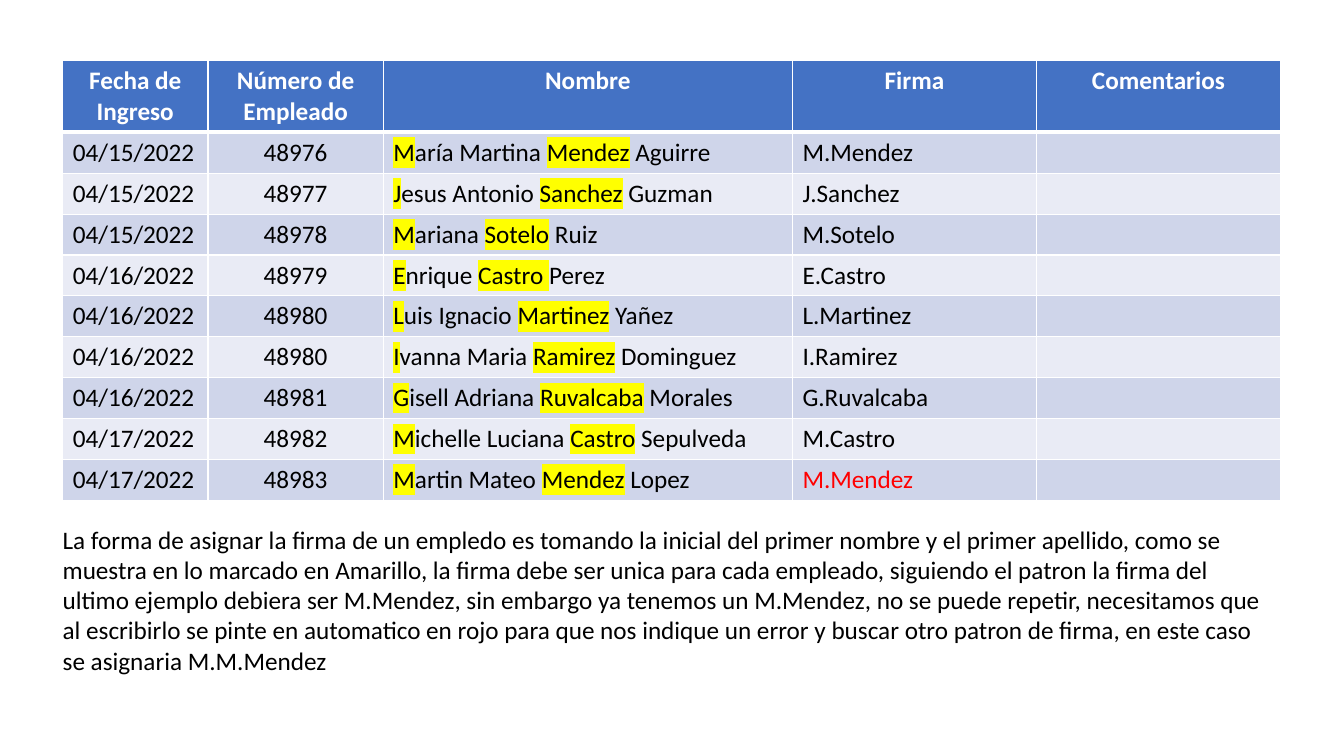
from pptx import Presentation
from pptx.dml.color import RGBColor
from pptx.enum.text import MSO_AUTO_SIZE as AutoSize, PP_ALIGN as Align
from pptx.oxml.ns import qn
from pptx.util import Cm, Pt
from lxml.etree import SubElement

HEADINGS = ["Fecha de Ingreso", "Número de Empleado", "Nombre", "Firma", "Comentarios"]
COLUMN_WIDTHS = [3.66, 4.42, 10.31, 6.15, 6.15]
HEADER_HEIGHT, ROW_HEIGHT = 1.78, 1.03
EMPLOYEES = [
    ("04/15/2022", "48976", "|M|aría Martina |Mendez| Aguirre", "M.Mendez"),
    ("04/15/2022", "48977", "|J|esus Antonio |Sanchez| Guzman", "J.Sanchez"),
    ("04/15/2022", "48978", "|M|ariana |Sotelo| Ruiz", "M.Sotelo"),
    ("04/16/2022", "48979", "|E|nrique |Castro |Perez", "E.Castro"),
    ("04/16/2022", "48980", "|L|uis Ignacio |Martinez| Yañez", "L.Martinez"),
    ("04/16/2022", "48980", "|I|vanna Maria |Ramirez| Dominguez", "I.Ramirez"),
    ("04/16/2022", "48981", "|G|isell Adriana |Ruvalcaba| Morales", "G.Ruvalcaba"),
    ("04/17/2022", "48982", "|M|ichelle Luciana |Castro| Sepulveda", "M.Castro"),
    ("04/17/2022", "48983", "|M|artin Mateo |Mendez| Lopez", "M.Mendez"),
]
EXPLANATION = (
    "La forma de asignar la firma de un empledo es tomando la inicial del primer nombre "
    "y el primer apellido, como se muestra en lo marcado en Amarillo, la firma debe ser "
    "unica para cada empleado, siguiendo el patron la firma del ultimo ejemplo debiera ser "
    "M.Mendez, sin embargo ya tenemos un M.Mendez, no se puede repetir, necesitamos que al "
    "escribirlo se pinte en automatico en rojo para que nos indique un error y buscar otro "
    "patron de firma, en este caso se asignaria M.M.Mendez"
)


def color(value):
    return RGBColor.from_string(value)


def write(para, text, font="Calibri", size=18, ink="000000", bold=False,
          align=Align.LEFT, marker="FFFF00"):
    para.alignment = align
    for index, part in enumerate(text.split("|")):
        if not part:
            continue
        span = para.add_run()
        span.text = part
        span.font.size = Pt(size)
        span.font.bold = bold
        span.font.color.rgb = color(ink)
        if index % 2:
            highlight = SubElement(span.font._element, qn("a:highlight"))
            SubElement(highlight, qn("a:srgbClr"), val=marker)
        span.font.name = font


class SlideBuilder:
    header_fill = "4472C4"
    band_fills = ("CFD5EA", "E9EBF5")
    border = "FFFFFF"

    def __init__(self, page):
        self.page = page

    def cell(self, cell, text, fill, top=1, bottom=1, **style):
        properties = cell._tc.get_or_add_tcPr()
        for side, width in zip("LRTB", (1, 1, top, bottom)):
            line = SubElement(properties, qn(f"a:ln{side}"), w=str(Pt(width)))
            SubElement(SubElement(line, qn("a:solidFill")), qn("a:srgbClr"), val=self.border)
        cell.fill.solid()
        cell.fill.fore_color.rgb = color(fill)
        write(cell.text_frame.paragraphs[0], text, **style)

    def table(self, left, top, headings, records, widths):
        height = HEADER_HEIGHT + ROW_HEIGHT * len(records)
        table = self.page.shapes.add_table(
            len(records) + 1, len(headings),
            Cm(left), Cm(top), Cm(sum(widths)), Cm(height)).table
        for column, width in zip(table.columns, widths):
            column.width = Cm(width)
        for index, row in enumerate(table.rows):
            row.height = Cm(ROW_HEIGHT if index else HEADER_HEIGHT)
        for column, heading in enumerate(headings):
            self.cell(table.cell(0, column), heading, self.header_fill, bottom=3,
                      ink="FFFFFF", bold=True, align=Align.CENTER)
        signatures = set()
        for row, record in enumerate(records, 1):
            signature = record[3]
            signature_ink = "FF0000" if signature in signatures else "000000"
            signatures.add(signature)
            for column, text in enumerate((*record, "")):
                self.cell(table.cell(row, column), text, self.band_fills[(row - 1) % 2],
                          top=3 if row == 1 else 1,
                          ink=signature_ink if column == 3 else "000000",
                          align=Align.CENTER if column == 1 else Align.LEFT)

    def text(self, left, top, width, height, text, **style):
        box = self.page.shapes.add_textbox(Cm(left), Cm(top), Cm(width), Cm(height))
        box.text_frame.word_wrap = True
        box.text_frame.auto_size = AutoSize.SHAPE_TO_FIT_TEXT
        write(box.text_frame.paragraphs[0], text, **style)


def main():
    deck = Presentation()
    deck.slide_width, deck.slide_height = Cm(33.87), Cm(19.05)
    builder = SlideBuilder(deck.slides.add_slide(deck.slide_layouts[6]))
    builder.table(1.58, 1.53, HEADINGS, EMPLOYEES, COLUMN_WIDTHS)
    builder.text(1.33, 13.08, 30.94, 4.1, EXPLANATION)
    deck.save("out.pptx")


if __name__ == "__main__":
    main()
